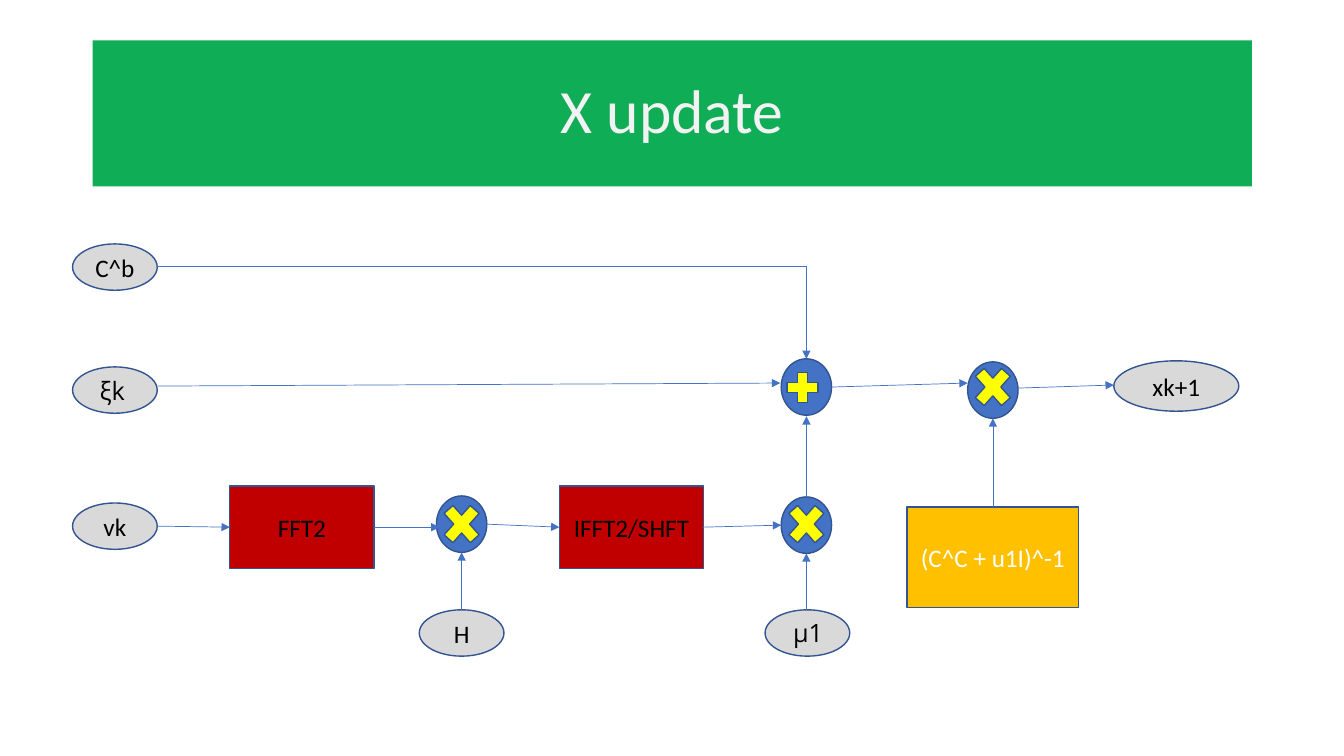
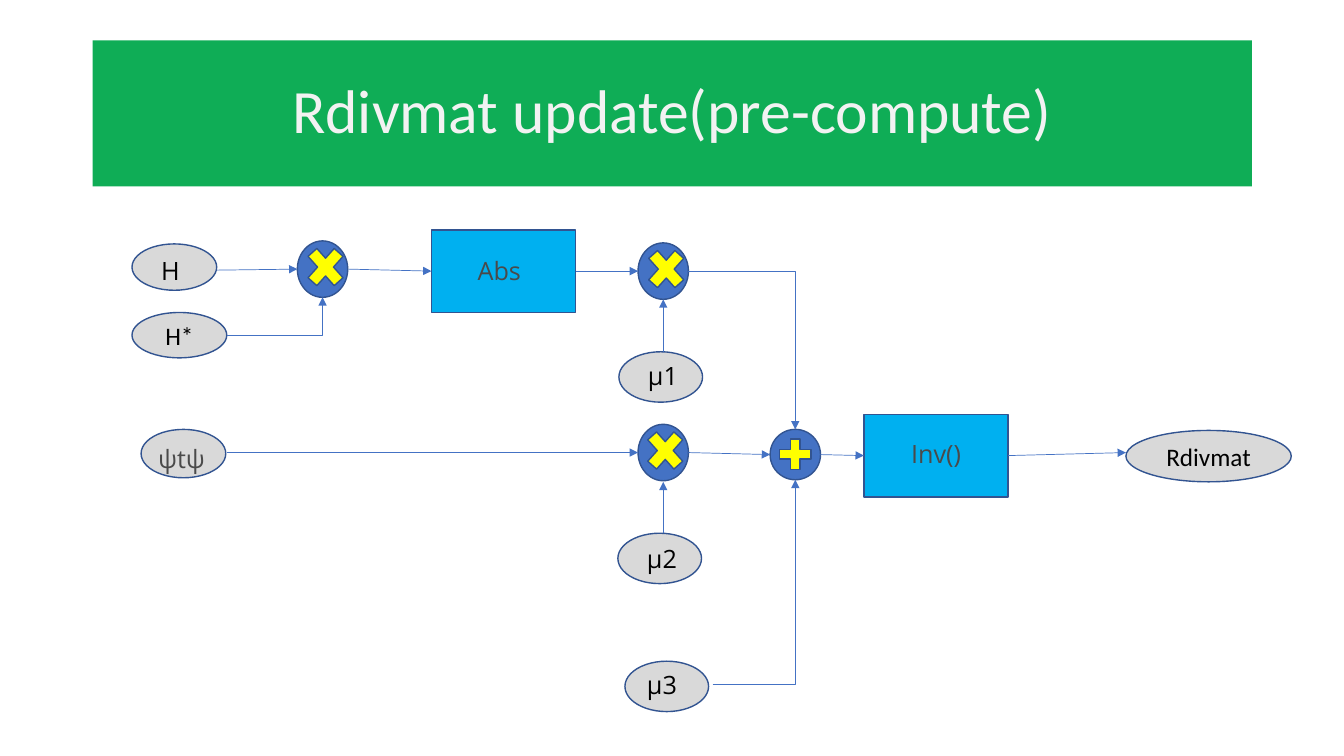
from dataclasses import dataclass

from lxml import etree
from pptx import Presentation
from pptx.dml.color import RGBColor
from pptx.enum.shapes import MSO_CONNECTOR, MSO_SHAPE
from pptx.enum.text import MSO_ANCHOR, PP_ALIGN
from pptx.oxml.ns import qn
from pptx.shapes.autoshape import Shape
from pptx.slide import Slide
from pptx.util import Inches, Length, Pt

OVAL = MSO_SHAPE.OVAL
RECT = MSO_SHAPE.RECTANGLE
DISC = MSO_SHAPE.FLOWCHART_CONNECTOR
TIMES = MSO_SHAPE.MATH_MULTIPLY
PLUS = MSO_SHAPE.MATH_PLUS
STRAIGHT = MSO_CONNECTOR.STRAIGHT
ELBOW = MSO_CONNECTOR.ELBOW
MIDDLE = MSO_ANCHOR.MIDDLE
CENTER = PP_ALIGN.CENTER
TITLE_ONLY = 5
COLS, ROWS = 133.33, 75


@dataclass(frozen=True)
class Theme:
    green: RGBColor = RGBColor(0x0F, 0xAD, 0x56)
    pale: RGBColor = RGBColor(0xF2, 0xF2, 0xF2)
    gray: RGBColor = RGBColor(0xD9, 0xD9, 0xD9)
    blue: RGBColor = RGBColor(0x44, 0x72, 0xC4)
    edge: RGBColor = RGBColor(0x32, 0x54, 0x91)
    sky: RGBColor = RGBColor(0x00, 0xB0, 0xF0)
    red: RGBColor = RGBColor(0xC0, 0x00, 0x00)
    gold: RGBColor = RGBColor(0xFF, 0xC0, 0x00)
    yellow: RGBColor = RGBColor(0xFF, 0xFF, 0x00)
    black: RGBColor = RGBColor(0x00, 0x00, 0x00)
    white: RGBColor = RGBColor(0xFF, 0xFF, 0xFF)
    slate: RGBColor = RGBColor(0x4A, 0x4A, 0x4A)
    font: str = "Calibri"
    alt: str = "Open Sans"
    head: Length = Pt(44)
    body: Length = Pt(18)
    rim: Length = Pt(1)
    thin: Length = Pt(0.5)


LOOK = Theme()


@dataclass(frozen=True)
class Oval:
    col: float
    row: float
    text: str = ""
    wide: float = 8.4
    high: float = 4.6


@dataclass(frozen=True)
class Block:
    col: float
    row: float
    fill: RGBColor
    text: str = ""
    ink: RGBColor = LOOK.black
    wide: float = 14.3
    high: float = 8.2


@dataclass(frozen=True)
class Gate:
    col: float
    row: float
    right: float = 0
    down: float = 0
    sign: MSO_SHAPE = TIMES
    high: float = 5.6


@dataclass(frozen=True)
class Wire:
    col: float
    row: float
    to_col: float
    to_row: float
    bent: bool = False


@dataclass(frozen=True)
class Label:
    col: float
    row: float
    text: str
    wide: float = 7.6
    ink: RGBColor = LOOK.black


Item = Oval | Block | Gate | Wire | Label


@dataclass(frozen=True)
class Chart:
    title: str
    items: list[Item]


def cell(count: float) -> Length:
    return Inches(count / 10)


def span(*counts: float) -> list[Length]:
    return [cell(count) for count in counts]


def style_text(shape: Shape, text: str, font: str, size: Length, ink: RGBColor) -> None:
    frame = shape.text_frame
    frame.text = text
    frame.word_wrap = True
    for run in frame.paragraphs[0].runs:
        run.font.name = font
        run.font.size = size
        run.font.color.rgb = ink


def center_text(shape: Shape) -> None:
    frame = shape.text_frame
    frame.vertical_anchor = MIDDLE
    frame.margin_left = frame.margin_right = 0
    frame.paragraphs[0].alignment = CENTER


def draw_shape(slide: Slide, kind: MSO_SHAPE, box: list[Length], fill: RGBColor,
               text: str = "", ink: RGBColor = LOOK.black) -> None:
    shape = slide.shapes.add_shape(kind, *box)
    shape.shadow.inherit = False
    shape.fill.solid()
    shape.fill.fore_color.rgb = fill
    shape.line.color.rgb = LOOK.edge
    shape.line.width = LOOK.rim
    if text:
        style_text(shape, text, LOOK.font, LOOK.body, ink)
        center_text(shape)


def draw_gate(slide: Slide, gate: Gate) -> None:
    draw_shape(slide, DISC, span(gate.col, gate.row, 5, gate.high), LOOK.blue)
    size = (4.2, 4.1) if gate.sign == PLUS else (5, 5.6)
    box = span(gate.col + gate.right, gate.row + gate.down, *size)
    draw_shape(slide, gate.sign, box, LOOK.yellow)


def draw_wire(slide: Slide, wire: Wire) -> None:
    ends = span(wire.col, wire.row, wire.to_col, wire.to_row)
    line = slide.shapes.add_connector(ELBOW if wire.bent else STRAIGHT, *ends)
    line.line.color.rgb = LOOK.blue
    line.line.width = LOOK.thin
    props = line._element.spPr
    if wire.bent:
        props.find(qn("a:prstGeom")).set("prst", "bentConnector2")
    etree.SubElement(props.find(qn("a:ln")), qn("a:tailEnd"), type="triangle")
    etree.SubElement(props, qn("a:effectLst"))


def draw_label(slide: Slide, label: Label) -> None:
    box = slide.shapes.add_textbox(*span(label.col, label.row, label.wide, 4))
    style_text(box, label.text, LOOK.alt, LOOK.body, label.ink)


def draw_title(slide: Slide, text: str) -> None:
    title = slide.shapes.title
    title.left, title.top, title.width, title.height = span(9.2, 4, 115, 14.5)
    title.fill.solid()
    title.fill.fore_color.rgb = LOOK.green
    style_text(title, text, LOOK.font, LOOK.head, LOOK.pale)
    center_text(title)
    title.text_frame.paragraphs[0].line_spacing = 0.9


def draw_item(slide: Slide, item: Item) -> None:
    match item:
        case Oval():
            box = span(item.col, item.row, item.wide, item.high)
            draw_shape(slide, OVAL, box, LOOK.gray, item.text)
        case Block():
            box = span(item.col, item.row, item.wide, item.high)
            draw_shape(slide, RECT, box, item.fill, item.text, item.ink)
        case Gate():
            draw_gate(slide, item)
        case Wire():
            draw_wire(slide, item)
        case Label():
            draw_label(slide, item)


CHARTS = [
    Chart("X update", [
        Oval(7.2, 24.2, "C^b"),
        Oval(7.2, 36.4),
        Label(8.9, 36.7, "ξk", 5),
        Oval(7.2, 49.9, "vk"),
        Oval(41.6, 60.5, "H"),
        Oval(75.9, 60.5),
        Label(77.7, 60.8, "μ1"),
        Oval(110.5, 35.8, "xk+1", 12.4, 5),
        Block(22.8, 48.2, LOOK.red, "FFT2"),
        Block(55.5, 48.2, LOOK.red, "IFFT2/SHFT"),
        Block(90, 50.3, LOOK.gold, "(C^C + u1I)^-1", LOOK.white, 17, 10),
        Gate(43.3, 49.2),
        Gate(77.5, 49.3, down=-0.1),
        Gate(77.5, 35.6, down=0.8, sign=PLUS),
        Gate(96, 35.9, down=-0.3),
        Wire(15.6, 26.4, 80, 35.6, bent=True),
        Wire(15.7, 38.3, 77.4, 38),
        Wire(15.6, 52.2, 22.8, 52.3),
        Wire(37.1, 52.3, 43.6, 52.3),
        Wire(45.8, 60.5, 45.8, 54.8),
        Wire(48.3, 52, 55.5, 52.3),
        Wire(69.7, 52.3, 77.5, 52.1),
        Wire(80, 60.5, 80, 54.9),
        Wire(80, 49.3, 80, 41.3),
        Wire(82.5, 38.4, 96, 38),
        Wire(98.5, 50.3, 98.5, 41.5),
        Wire(101, 38.5, 110.5, 38.2),
    ]),
    Chart("Rdivmat update(pre-compute)", [
        Oval(13.1, 24.2),
        Label(15, 24.8, "H"),
        Oval(13.1, 31, "H*", 9.4, 4.5),
        Oval(14, 42.6, high=4.8),
        Label(14.7, 43.5, "ψtψ", 7.9, LOOK.slate),
        Oval(61.4, 34.9, wide=8.3, high=5),
        Label(63.3, 35.3, "μ1"),
        Oval(61.3, 52.9, wide=8.3, high=5),
        Label(63.2, 53.4, "μ2"),
        Oval(62, 65.6, wide=8.3, high=5),
        Label(63.2, 65.9, "μ3"),
        Oval(111.7, 42.7, "Rdivmat", 16.4, 5.1),
        Block(42.8, 22.8, LOOK.sky),
        Label(46.4, 24.8, "Abs", ink=LOOK.slate),
        Block(85.7, 41.1, LOOK.sky),
        Label(89.4, 43, "Inv()", ink=LOOK.slate),
        Gate(29.5, 23.9, 0.3, -0.2),
        Gate(63.3, 24.1, 0.3, -0.2),
        Gate(63.3, 42.1, 0.2, -0.2),
        Gate(76.4, 42.6, 0.4, 0.4, PLUS, 5),
        Wire(21.5, 26.8, 29.5, 26.7),
        Wire(22.5, 33.3, 32, 29.5, bent=True),
        Wire(34.5, 26.7, 42.8, 26.9),
        Wire(57.1, 26.9, 63.3, 26.9),
        Wire(65.8, 34.9, 65.8, 29.7),
        Wire(68.3, 26.9, 78.9, 42.6, bent=True),
        Wire(22.5, 44.9, 63.3, 44.9),
        Wire(65.8, 52.9, 65.8, 47.8),
        Wire(68.3, 44.9, 76.4, 45.1),
        Wire(70.7, 67.9, 78.9, 47.6, bent=True),
        Wire(81.4, 45.1, 85.7, 45.2),
        Wire(100, 45.2, 111.7, 44.9),
    ]),
]


def main() -> None:
    deck = Presentation()
    deck.slide_width, deck.slide_height = span(COLS, ROWS)
    for chart in CHARTS:
        slide = deck.slides.add_slide(deck.slide_layouts[TITLE_ONLY])
        draw_title(slide, chart.title)
        for item in chart.items:
            draw_item(slide, item)
    deck.save("out.pptx")


if __name__ == "__main__":
    main()
